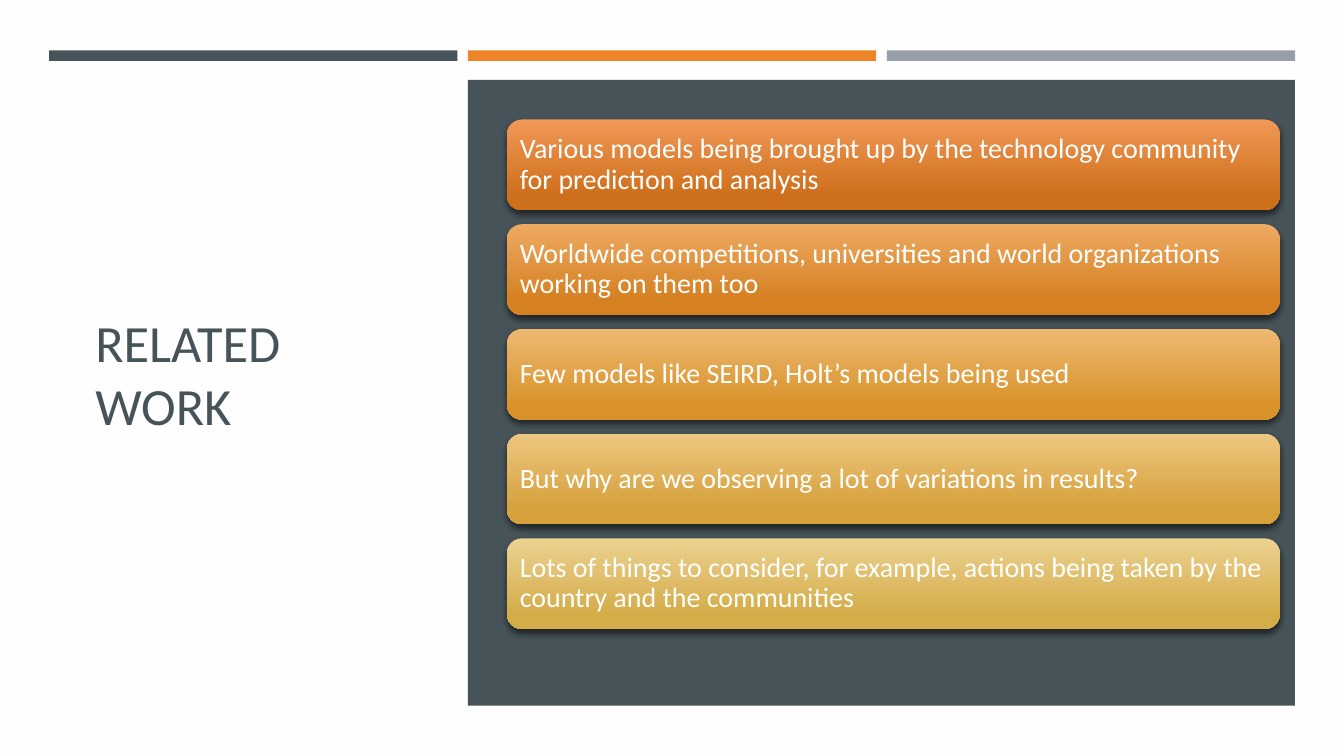
from lxml.etree import SubElement
from pptx import Presentation
from pptx.dml.color import RGBColor as Rgb
from pptx.enum.shapes import MSO_SHAPE as Kind
from pptx.enum.text import MSO_ANCHOR as Anchor, PP_ALIGN as Align
from pptx.oxml.ns import qn
from pptx.util import Pt

COLORS = {
    "paper": "FFFEFF",
    "slate": "465359",
    "orange": "ED8428",
    "gray": "969FA7",
    "white": "FFFFFF",
    "black": "000000",
}

# Text, top colour and bottom colour of each card
CARDS = [
    ("Various models being brought up by the technology community "
     "for prediction and analysis", "F09856", "CE6F1B"),
    ("Worldwide competitions, universities and world organizations "
     "working on them too", "EEAA62", "D58021"),
    ("Few models like SEIRD, Holt’s models being used", "EDB971", "D9922A"),
    ("But why are we observing a lot of variations in results?",
     "ECC680", "D6A03A"),
    ("Lots of things to consider, for example, actions being taken by the "
     "country and the communities", "ECD190", "D4AD49"),
]


def color(name):
    return Rgb.from_string(COLORS[name])


class Deck:
    """Holds the text style and the current slide."""
    font = "Calibri"

    def __init__(self, wide, high):
        self.file = Presentation()
        self.file.slide_width, self.file.slide_height = Pt(wide), Pt(high)
        self.slide = self.file.slides.add_slide(self.file.slide_layouts[6])
        fill = self.slide.background.fill
        fill.solid()
        fill.fore_color.rgb = color("paper")

    def shape(self, kind, box):
        item = self.slide.shapes.add_shape(kind, *map(Pt, box))
        item.shadow.inherit = False
        item.line.fill.background()
        return item

    def label(self, item, text, size, ink, space=1.0):
        frame = item.text_frame
        frame.word_wrap = True
        frame.vertical_anchor = Anchor.MIDDLE
        frame.text = text
        para = frame.paragraphs[0]
        para.alignment = Align.LEFT
        para.line_spacing = space
        para.font.name, para.font.size = self.font, Pt(size)
        para.font.color.rgb = color(ink)
        return frame

    def title(self, box, text):
        item = self.slide.shapes.add_textbox(*map(Pt, box))
        self.label(item, text, 28, "slate")

    def block(self, box, name):
        fill = self.shape(Kind.RECTANGLE, box).fill
        fill.solid()
        fill.fore_color.rgb = color(name)

    def card(self, box, text, top, base):
        item = self.shape(Kind.ROUNDED_RECTANGLE, box)
        item.fill.gradient()
        item.fill.gradient_angle = 270
        stops = zip(item.fill.gradient_stops, (0, 0.84), (top, base))
        for stop, place, tint in stops:
            stop.position = place
            stop.color.rgb = Rgb.from_string(tint)
        self.shade(item)
        frame = self.label(item, text, 15, "white", 0.9)
        frame.margin_left = frame.margin_right = Pt(4.5)
        frame.margin_top = frame.margin_bottom = Pt(4.5)

    def shade(self, item):
        """Drop a soft shadow straight down."""
        effects = item._element.spPr.find(qn("a:effectLst"))
        cast = SubElement(effects, qn("a:outerShdw"), blurRad=str(Pt(3)),
                          dist=str(Pt(2)), dir="5400000", rotWithShape="0")
        tint = SubElement(cast, qn("a:srgbClr"), val=COLORS["black"])
        SubElement(tint, qn("a:alpha"), val="55000")


def main():
    deck = Deck(720, 405)
    deck.title((44, 61, 180, 278), "RELATED WORK")
    for col, name in enumerate(("slate", "orange", "gray")):
        deck.block((26.3 + 224.4 * col, 27, 218.7, 5.6), name)
    deck.block((250.7, 42.8, 443, 335.3), "slate")
    for row, (text, top, base) in enumerate(CARDS):
        deck.card((271.6, 64 + 56.1 * row, 414, 48.6), text, top, base)
    deck.file.save("out.pptx")


if __name__ == "__main__":
    main()
